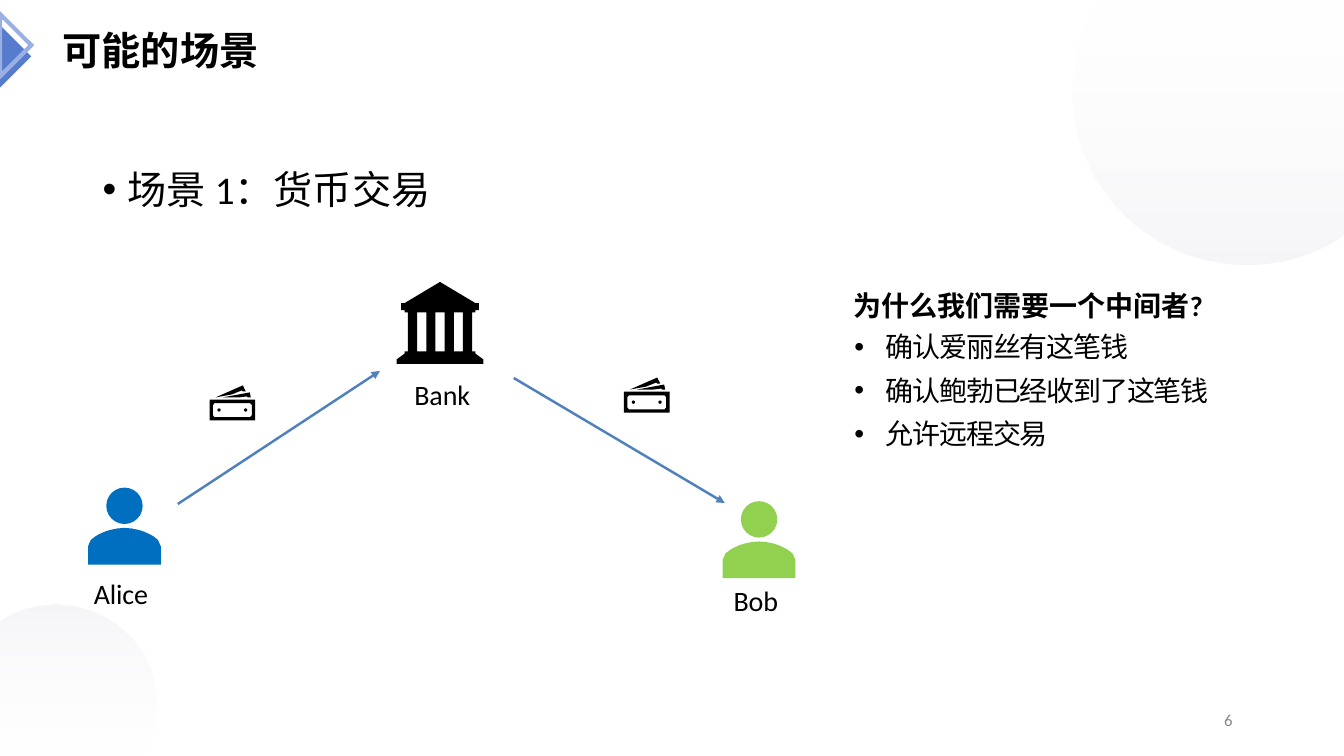
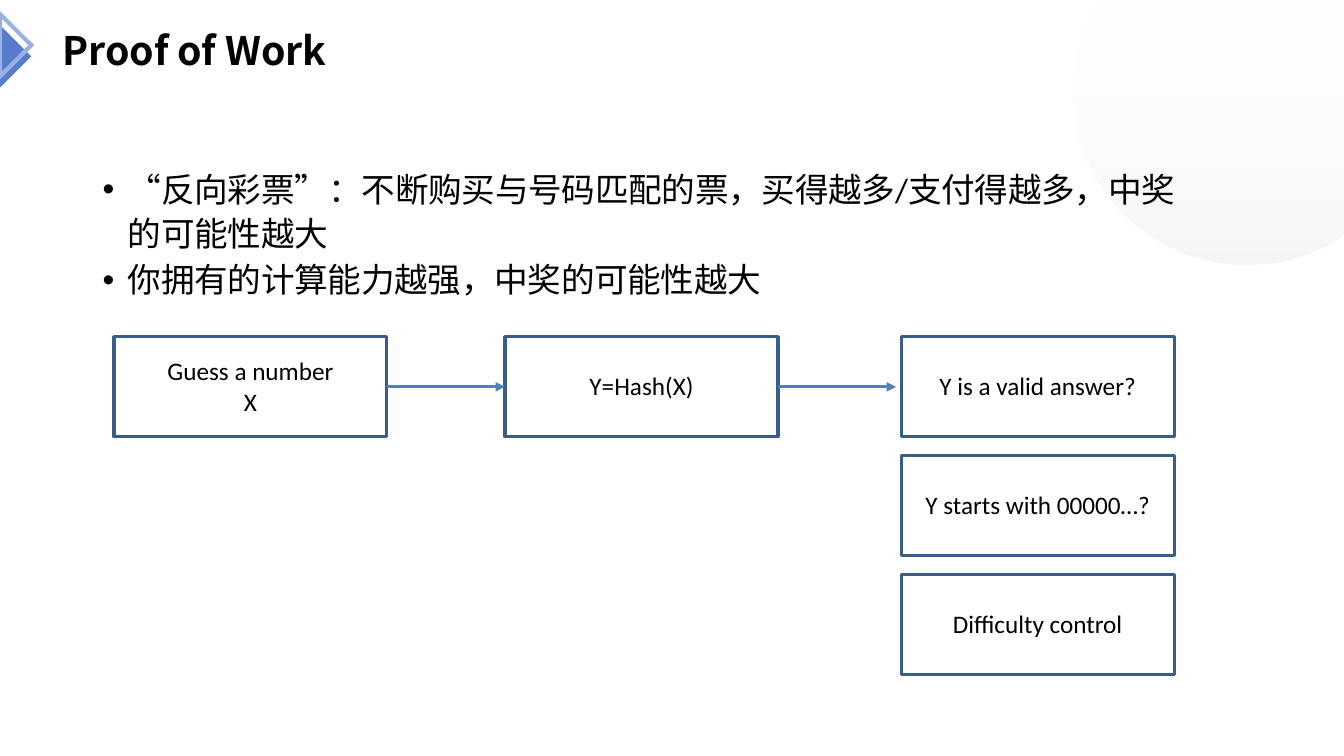
"""Build two slides: a bank payment between two people and the proof-of-work steps."""
from itertools import groupby
from math import cos, radians, sin

from lxml import etree
from pptx import Presentation
from pptx.dml.color import RGBColor
from pptx.enum.shapes import MSO_CONNECTOR, MSO_SHAPE
from pptx.enum.text import MSO_ANCHOR, MSO_AUTO_SIZE, PP_ALIGN
from pptx.oxml.ns import qn
from pptx.util import Pt

STRAIGHT = MSO_CONNECTOR.STRAIGHT
OVAL, RECTANGLE = MSO_SHAPE.OVAL, MSO_SHAPE.RECTANGLE
TOP, MIDDLE = MSO_ANCHOR.TOP, MSO_ANCHOR.MIDDLE
LEFT, CENTER = PP_ALIGN.LEFT, PP_ALIGN.CENTER
NO_AUTOFIT = MSO_AUTO_SIZE.NONE

COLORS = {
    "text": "000000",
    "page": "888888",
    "accent": "577CCE",
    "accent_line": "9AB0E2",
    "circle_light": "FFFFFF",
    "circle_dark": "D8D8E4",
    "arrow": "4F81BC",
    "box_line": "385D89",
    "alice": "006FC0",
    "bob": "92D050",
    "icon": "000000",
}
BODY_FONT, CHINESE_FONT = "Calibri", "Noto Sans CJK SC"
WIDE_QUOTES = "“”"
SLIDE_WIDTH, SLIDE_HEIGHT = 960, 540
DOWNWARD, UPWARD = 270, 90
LEFT_SITE, RIGHT_SITE = 1, 3


def color(name):
    """Return the named colour."""
    return RGBColor.from_string(COLORS[name])


def paint(shape, fill=None, line=None, width=1):
    """Set the fill and line of a shape and drop its shadow."""
    shape.shadow.inherit = False
    if fill:
        shape.fill.solid()
        shape.fill.fore_color.rgb = color(fill)
    else:
        shape.fill.background()
    if line:
        shape.line.color.rgb = color(line)
        shape.line.width = Pt(width)
    else:
        shape.line.fill.background()


def add_line_detail(shape, tag, **attributes):
    """Append a detail element to the line of a shape."""
    etree.SubElement(shape._element.spPr.find(qn("a:ln")), qn(tag), **attributes)


def add_outline(slide, contours, **style):
    """Draw closed contours as one freeform."""
    builder = None
    for contour in contours:
        points = [(Pt(x), Pt(y)) for x, y in contour]
        if builder is None:
            builder = slide.shapes.build_freeform(*points[0], scale=1.0)
        else:
            builder.move_to(*points[0])
        builder.add_line_segments(points[1:], close=True)
    shape = builder.convert_to_shape()
    paint(shape, **style)
    return shape


def ellipse_points(center_x, center_y, radius_x, radius_y, step):
    """Return points on an ellipse, one every step degrees."""
    angles = [radians(degree) for degree in range(0, 360, step)]
    return [(center_x + radius_x * cos(a), center_y + radius_y * sin(a)) for a in angles]


def box_points(left, top, right, bottom):
    """Return the corners of a rectangle."""
    return [(left, top), (right, top), (right, bottom), (left, bottom)]


def mirrored(center_x, top, right_half):
    """Return a symmetric contour from the offsets of its right half."""
    right = [(center_x + x, top + y) for x, y in right_half]
    left = [(center_x - x, top + y) for x, y in reversed(right_half)]
    return right + left


def add_pale_circle(slide, center_x, center_y, radius_x, radius_y, angle):
    """Draw a translucent gradient circle clipped to the slide."""
    points = [
        (min(max(x, 0), SLIDE_WIDTH), min(max(y, 0), SLIDE_HEIGHT))
        for x, y in ellipse_points(center_x, center_y, radius_x, radius_y, 2)
    ]
    shape = add_outline(slide, [points])
    shape.fill.gradient()
    shape.fill.gradient_angle = angle
    for stop, name in zip(shape.fill.gradient_stops, ("circle_light", "circle_dark")):
        stop.color.rgb = color(name)
    for element, alpha in zip(shape._element.spPr.iter(qn("a:srgbClr")), (10, 24)):
        etree.SubElement(element, qn("a:alpha"), val=str(alpha * 1000))


def add_accent(slide):
    """Draw the filled and the outlined triangle at the left edge."""
    filled, outlined = ([(0, top), (22.3, top + 22.3), (0, top + 44.6)] for top in (18, 10))
    add_outline(slide, [filled], fill="accent")
    frame = add_outline(slide, [outlined], line="accent_line", width=3)
    add_line_detail(frame, "a:miter", lim="800000")


def set_bullet(paragraph, margin, hanging):
    """Give a paragraph a hanging bullet."""
    properties = paragraph._p.get_or_add_pPr()
    properties.set("marL", str(Pt(margin)))
    properties.set("indent", str(-Pt(hanging)))
    etree.SubElement(properties, qn("a:buFont"), typeface="Arial")
    etree.SubElement(properties, qn("a:buChar"), char="•")


def add_run(paragraph, text, font, size, bold, fill, spacing):
    """Add one formatted run."""
    run = paragraph.add_run()
    run.text = text
    run.font.name = font
    run.font.size = Pt(size)
    run.font.bold = bold
    run.font.color.rgb = color(fill)
    properties = run._r.get_or_add_rPr()
    properties.set("spc", str(round(spacing * 100)))
    etree.SubElement(properties, qn("a:ea"), typeface=font)


def write_text(shape, lines, size, font=BODY_FONT, bold=False, fill="text", align=LEFT,
               anchor=TOP, inset=0, bullet=None, spacing=0, gap=0, line_height=1.0):
    """Fill a shape with paragraphs, setting curly quotes in the Chinese font."""
    frame = shape.text_frame
    frame.word_wrap = True
    frame.auto_size = NO_AUTOFIT
    frame.vertical_anchor = anchor
    frame.margin_left = frame.margin_right = Pt(inset)
    frame.margin_top = frame.margin_bottom = 0
    for index, line in enumerate(lines):
        paragraph = frame.add_paragraph() if index else frame.paragraphs[0]
        if bullet:
            set_bullet(paragraph, *bullet)
        paragraph.alignment = align
        paragraph.line_spacing = line_height
        paragraph.space_before = Pt(gap if index else 0)
        for quoted, letters in groupby(line, lambda letter: letter in WIDE_QUOTES):
            run_font = CHINESE_FONT if quoted else font
            add_run(paragraph, "".join(letters), run_font, size, bold, fill, spacing)


def place(shape, left, top, width, height):
    """Move and size a shape."""
    shape.left, shape.top, shape.width, shape.height = map(Pt, (left, top, width, height))


def add_text(slide, area, lines, size, **style):
    """Add a text box."""
    write_text(slide.shapes.add_textbox(*map(Pt, area)), lines, size, **style)


def add_arrow(slide, width, start, end):
    """Add a straight connector with an arrowhead at its end."""
    connector = slide.shapes.add_connector(STRAIGHT, *map(Pt, (*start, *end)))
    connector.line.color.rgb = color("arrow")
    connector.line.width = Pt(width)
    add_line_detail(connector, "a:tailEnd", type="triangle")
    etree.SubElement(connector._element.spPr, qn("a:effectLst"))
    return connector


def add_person(slide, center_x, top, fill):
    """Draw a head-and-shoulders figure."""
    head = slide.shapes.add_shape(OVAL, Pt(center_x - 13), Pt(top), Pt(26), Pt(26))
    paint(head, fill)
    shoulders = [(26, 55), (26, 42), (24, 37.4), (20.4, 34.6), (17.4, 33),
                 (13.8, 31.4), (10, 30.2), (5, 29.2), (0, 28.8)]
    add_outline(slide, [mirrored(center_x, top, shoulders)], fill=fill)


def add_bank(slide, center_x, top):
    """Draw a bank building with four columns."""
    roof = [(0, 0), (25.2, 15.1)]
    entablature = [(27.8, 15.1), (27.8, 20.2)]
    lintel = [(25.2, 20.2), (25.2, 21.8)]
    base = [(25.2, 49.7), (25.2, 51.1), (31, 55.4), (31, 58.5)]
    contours = [mirrored(center_x, top, half) for half in (roof, entablature, lintel, base)]
    for index in range(4):
        left = center_x - 22.9 + 13.1 * index
        contours.append(box_points(left, top + 21.8, left + 6.6, top + 49.7))
    add_outline(slide, contours, fill="icon")


def add_banknotes(slide, left, top):
    """Draw a framed banknote with two more behind it."""
    contours = [
        [(25.9, 4.3), (23.8, 0), (4.3, 8.6), (15.8, 6.5), (23, 3.6), (23.8, 4.3)],
        [(29.5, 8.6), (28.8, 5), (9.4, 8.6), (20.9, 8.6), (26.6, 7.9), (27.4, 8.6)],
        box_points(0, 10.1, 32.6, 25),
        [(3.6, 12.7), (29, 12.7), (30.2, 14), (30.2, 21.4),
         (29, 22.7), (3.6, 22.7), (2.4, 21.4), (2.4, 14)],
        ellipse_points(6.8, 17.6, 1.2, 1.2, 45),
        ellipse_points(25.8, 17.6, 1.2, 1.2, 45),
    ]
    moved = [[(left + x, top + y) for x, y in contour] for contour in contours]
    add_outline(slide, moved, fill="icon")


def add_box(slide, left, top, lines):
    """Add an outlined step box."""
    box = slide.shapes.add_shape(RECTANGLE, *map(Pt, (left, top, 195, 71.6)))
    paint(box, line="box_line", width=2.25)
    write_text(box, lines, 18, align=CENTER, anchor=MIDDLE)
    box.text_frame.margin_bottom = Pt(1.4)
    return box


def add_base_slide(presentation, title, items, body_size, body_area, **body_style):
    """Add a slide with the shared decoration, title and bullet list."""
    slide = presentation.slides.add_slide(presentation.slide_layouts[1])
    heading, body = slide.placeholders[0], slide.placeholders[1]
    add_pale_circle(slide, 890.5, 66, 124.5, 123.3, DOWNWARD)
    add_accent(slide)
    for placeholder in (heading, body):
        slide.shapes._spTree.append(placeholder._element)
    place(heading, 37.5, 15.3, 356, 41)
    write_text(heading, [title], 28, font=CHINESE_FONT, bold=True, anchor=MIDDLE, inset=7.2)
    place(body, *body_area)
    write_text(body, items, body_size, bullet=(18.7, 18), **body_style)
    return slide


def build_scenario(presentation):
    """Build the currency transaction slide."""
    slide = add_base_slide(presentation, "可能的场景", ["场景 1：货币交易"], 28,
                           (72.5, 118.3, 410, 36))
    add_pale_circle(slide, 39.5, 502, 72, 70.5, UPWARD)
    add_person(slide, 88.9, 348.3, "alice")
    add_person(slide, 542.2, 358, "bob")
    add_bank(slide, 314.3, 201.4)
    for name, left, top in (("Alice", 67, 411.8), ("Bob", 524, 417), ("Bank", 296, 269.6)):
        add_text(slide, (left, top, 60, 26), [name], 20, spacing=-0.1)
    add_arrow(slide, 1.75, (127, 360), (271.4, 265))
    add_arrow(slide, 1.75, (367, 270), (517.7, 359.3))
    add_banknotes(slide, 149.7, 275.3)
    add_banknotes(slide, 445.7, 269.7)
    add_text(slide, (609.5, 206, 270, 26), ["为什么我们需要一个中间者?"], 20, bold=True)
    reasons = ["确认爱丽丝有这笔钱", "确认鲍勃已经收到了这笔钱", "允许远程交易"]
    add_text(slide, (609, 235.7, 309, 90), reasons, 20, bullet=(23.8, 22.5),
             spacing=-0.9, gap=7)
    add_text(slide, (874.5, 506.8, 20, 15), ["6"], 12, fill="page")


def build_proof_of_work(presentation):
    """Build the proof-of-work slide."""
    items = ["“反向彩票”：不断购买与号码匹配的票，买得越多/支付得越多，中奖的可能性越大",
             "你拥有的计算能力越强，中奖的可能性越大"]
    slide = add_base_slide(presentation, "Proof of Work", items, 24, (72.5, 117.4, 772.5, 99),
                           spacing=-0.2, gap=0.9, line_height=Pt(31.9))
    top, row_step, last_left = 240.5, 85, 643.7
    guess = add_box(slide, 81.4, top, ["Guess a number", "X"])
    digest = add_box(slide, 360.7, top, ["Y=Hash(X)"])
    checks = ("Y is a valid answer?", "Y starts with 00000…?", "Difficulty control")
    for row, line in enumerate(checks):
        add_box(slide, last_left, top + row * row_step, [line])
    middle = top + 35.8
    to_digest = add_arrow(slide, 2.25, (276.4, middle), (360.7, middle))
    to_digest.begin_connect(guess, RIGHT_SITE)
    to_digest.end_connect(digest, LEFT_SITE)
    to_check = add_arrow(slide, 2.25, (555.7, middle), (640.1, middle))
    to_check.begin_connect(digest, RIGHT_SITE)


def main():
    """Build and save the presentation."""
    presentation = Presentation()
    presentation.slide_width = Pt(SLIDE_WIDTH)
    presentation.slide_height = Pt(SLIDE_HEIGHT)
    build_scenario(presentation)
    build_proof_of_work(presentation)
    presentation.save("out.pptx")


if __name__ == "__main__":
    main()
